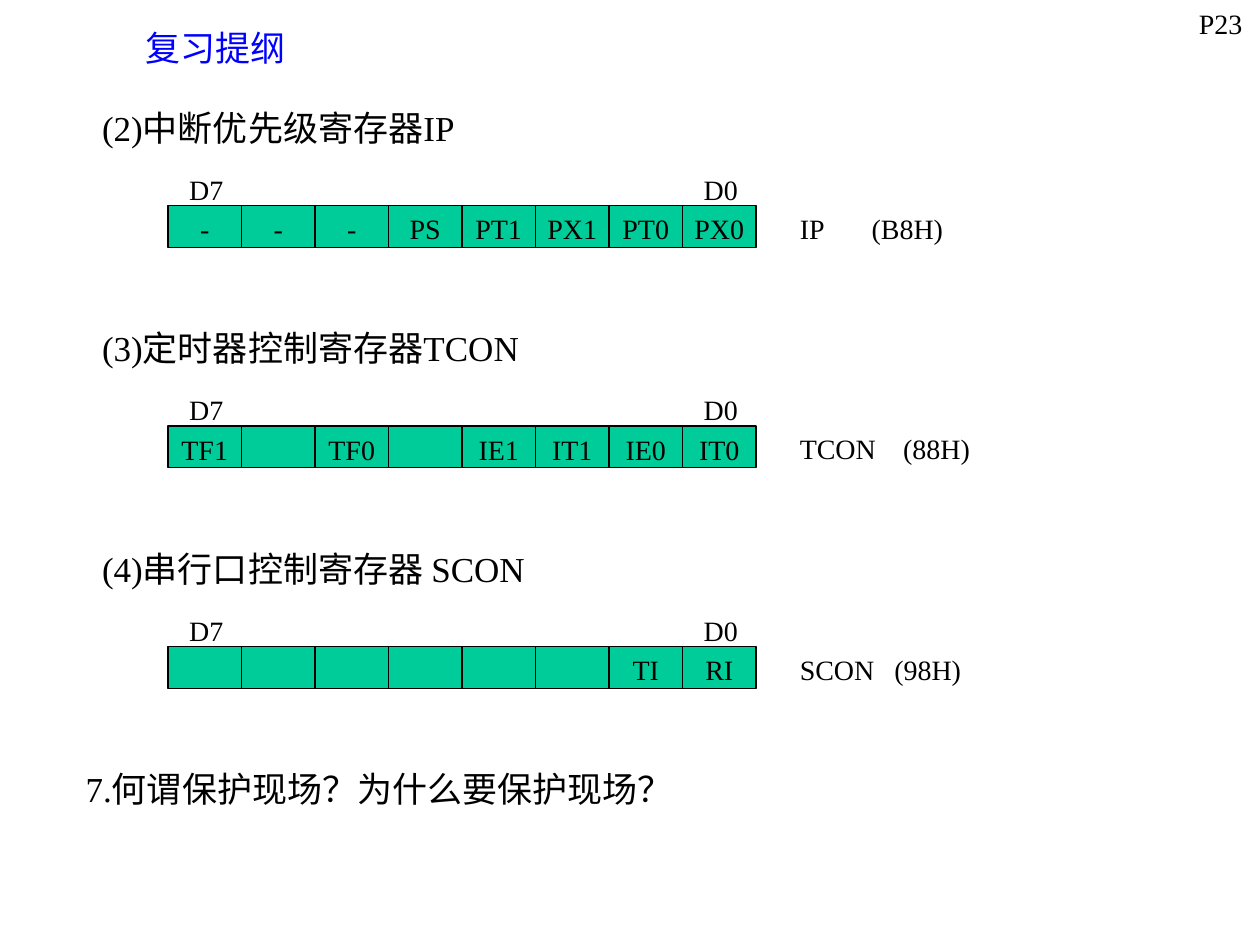
import pptx
import pptx.util
import pptx.dml.color
import pptx.enum.shapes
import pptx.enum.text
import lxml.etree

Inches, Pt = pptx.util.Inches, pptx.util.Pt
RGBColor = pptx.dml.color.RGBColor
PP_ALIGN, MSO_ANCHOR = pptx.enum.text.PP_ALIGN, pptx.enum.text.MSO_ANCHOR

BLUE = RGBColor(0x00, 0x00, 0xFF)
BLACK = RGBColor(0x00, 0x00, 0x00)
GREEN = RGBColor(0x00, 0xCC, 0x99)
A = "http://schemas.openxmlformats.org/drawingml/2006/main"

BITS = 8
CELL_W, CELL_H = 7 / 12, 1 / 3
LABEL_H = 0.37
REGISTER_X, REGISTER_Y, PITCH = 4 / 3, 1.63, 1.75

HEADINGS = [
    ("(2)中断优先级寄存器IP", 0.13),
    ("(3)定时器控制寄存器TCON", 0.13),
    ("(4)串行口控制寄存器 SCON", 0.13),
    ("7.何谓保护现场？为什么要保护现场？", 0),
]
# name, address, tab stop before the address, bit names from D7 to D0
REGISTERS = [
    ("IP", "(B8H)", 0.57, ["-", "-", "-", "PS", "PT1", "PX1", "PT0", "PX0"]),
    ("TCON", "(88H)", 0.82, ["TF1", "", "TF0", "", "IE1", "IT1", "IE0", "IT0"]),
    ("SCON", "(98H)", 0.75, ["", "", "", "", "", "", "TI", "RI"]),
]


def place(shape, x, y, w, h):
    box = {"left": x, "top": y, "width": w, "height": h}
    for name, value in box.items():
        setattr(shape, name, Inches(value))


def format_font(p, size, color=BLACK):
    values = {"name": "Times New Roman", "size": Pt(size), "bold": False}
    for r in p.runs:
        for name, value in values.items():
            setattr(r.font, name, value)
        r.font.color.rgb = color


def add_label(shapes, text, x, y, w, tab=None):
    """Add a one-line text box, with an optional tab stop in inches."""
    tb = shapes.add_textbox(Inches(x), Inches(y), Inches(w), Inches(LABEL_H))
    tb.text_frame.word_wrap = True
    p = tb.text_frame.paragraphs[0]
    if tab:
        tabs = lxml.etree.SubElement(p._p.get_or_add_pPr(), f"{{{A}}}tabLst")
        lxml.etree.SubElement(tabs, f"{{{A}}}tab", pos=str(Inches(tab)), algn="l")
    p.add_run().text = text
    format_font(p, 16)


def add_cell(shapes, text, x, y):
    rect = shapes.add_shape(pptx.enum.shapes.MSO_SHAPE.RECTANGLE,
                            Inches(x), Inches(y), Inches(CELL_W), Inches(CELL_H))
    rect.shadow.inherit = False
    rect.fill.solid()
    rect.fill.fore_color.rgb = GREEN
    rect.line.color.rgb = BLACK
    rect.line.width = Pt(0.75)
    if text:
        tf = rect.text_frame
        values = {"margin_left": 0, "margin_right": 0, "margin_top": Inches(0.05),
                  "margin_bottom": 0, "vertical_anchor": MSO_ANCHOR.TOP,
                  "word_wrap": True}
        for name, value in values.items():
            setattr(tf, name, value)
        p = tf.paragraphs[0]
        p.alignment = PP_ALIGN.CENTER
        p.add_run().text = text
        format_font(p, 16)


def add_register(s, x, y, name, address, tab, bits):
    """Draw one register as a group whose first cell starts at x, y."""
    shapes = s.shapes.add_group_shape().shapes
    for i, bit in enumerate(bits):
        add_cell(shapes, bit, x + i * CELL_W, y)
    for text, column in (("D7", 0), ("D0", BITS - 1)):
        add_label(shapes, text, x + column * CELL_W + 0.07, y - 0.31, CELL_W)
    add_label(shapes, f"{name}\t{address}", x + BITS * CELL_W + 0.25, y, 1.83, tab)


def fill_title(title, text, x, y, w, h):
    place(title, x, y, w, h)
    tf = title.text_frame
    tf.auto_size = pptx.enum.text.MSO_AUTO_SIZE.NONE
    tf.vertical_anchor = MSO_ANCHOR.MIDDLE
    p = tf.paragraphs[0]
    p.alignment = PP_ALIGN.CENTER
    p.add_run().text = text
    format_font(p, 20, BLUE)


def fill_body(body, headings, x, y, w, h):
    """Set the headings one register pitch apart."""
    place(body, x, y, w, h)
    tf = body.text_frame
    tf.auto_size = pptx.enum.text.MSO_AUTO_SIZE.NONE
    line = 27
    for i, (text, indent) in enumerate(headings):
        p = tf.add_paragraph() if i else tf.paragraphs[0]
        pPr = p._p.get_or_add_pPr()
        pPr.set("marL", str(Inches(indent)))
        pPr.set("indent", "0")
        lxml.etree.SubElement(pPr, f"{{{A}}}buNone")
        p.alignment = PP_ALIGN.JUSTIFY
        p.line_spacing = Pt(line)
        p.space_before = Pt(PITCH * 72 - line if i else 0)
        p.add_run().text = text
        format_font(p, 20)


def main():
    prs = pptx.Presentation()
    prs.slide_width, prs.slide_height = Inches(10), Inches(7.5)
    s = prs.slides.add_slide(prs.slide_layouts[1])
    fill_title(s.shapes.title, "复习提纲", 0.75, 0.17, 1.92, 0.42)
    fill_body(s.placeholders[1], HEADINGS, 0.58, 0.75, 8.67, 6.42)
    for i, register in enumerate(REGISTERS):
        add_register(s, REGISTER_X, REGISTER_Y + i * PITCH, *register)
    add_label(s.shapes, "P23", 10 - CELL_W, 0, CELL_W)
    prs.save("out.pptx")


if __name__ == "__main__":
    main()
